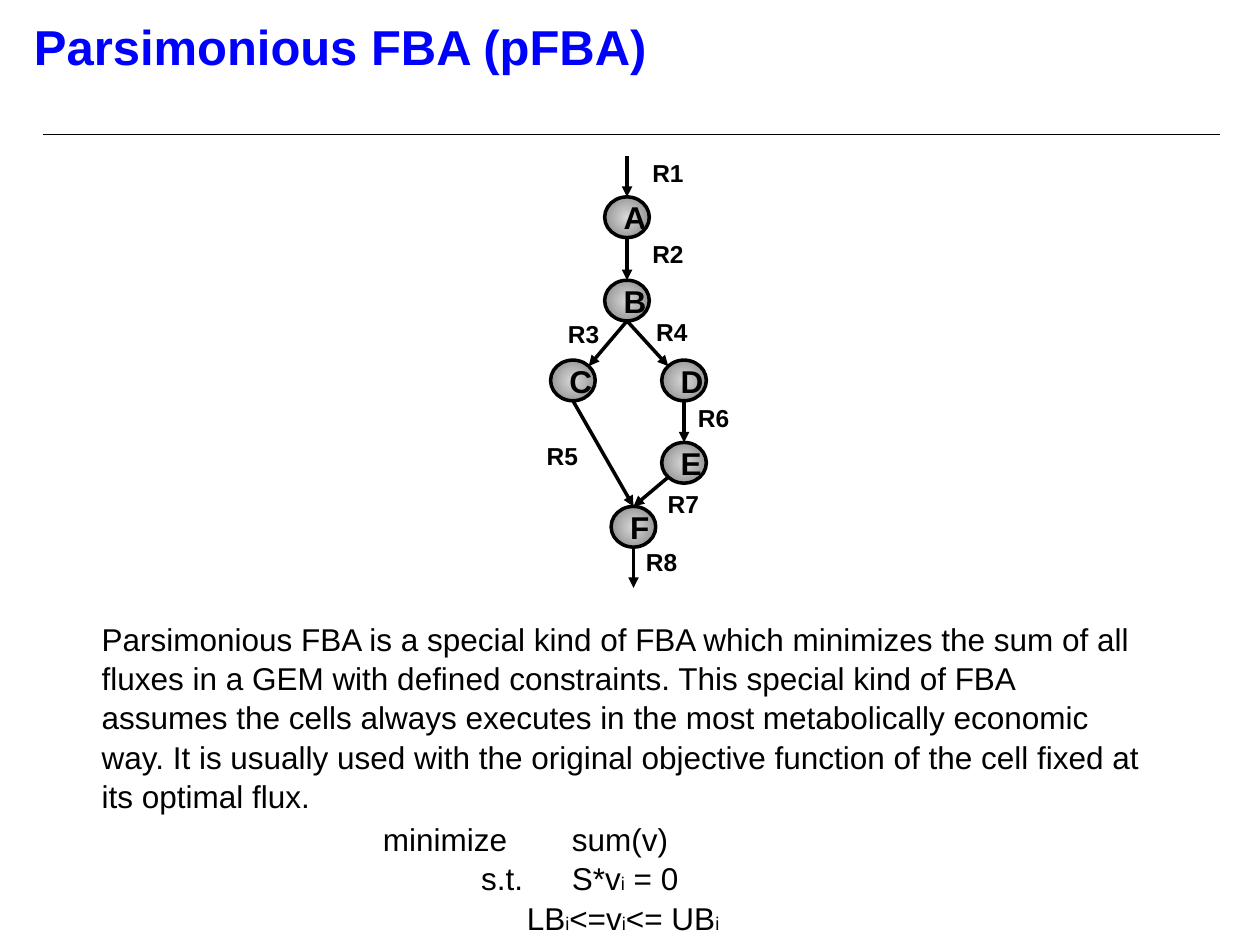
from math import sqrt

from lxml import etree
from pptx import Presentation
from pptx import util as u
from pptx.dml.color import RGBColor
from pptx.enum import shapes, text
from pptx.oxml import ns


class Theme:
    font = "Arial"
    black = RGBColor(0, 0, 0)
    title_blue = RGBColor(0, 0, 255)
    node_colors = (RGBColor(0xD9, 0xD9, 0xD9), RGBColor(0x80, 0x80, 0x80))
    title_size = 28
    body_size = 18
    index_size = 10.5
    label_size = 14


def style(run, size, bold=False, color=Theme.black):
    run.font.name = Theme.font
    run.font.size = u.Pt(size)
    run.font.bold = bold
    run.font.color.rgb = color


def add_line(slide, start, end, width):
    line = slide.shapes.add_connector(
        shapes.MSO_CONNECTOR.STRAIGHT, *(u.Cm(value) for value in start + end))
    line.line.color.rgb = Theme.black
    line.line.width = u.Pt(width)
    etree.SubElement(line._element.spPr, ns.qn("a:effectLst"))
    return line


presentation = Presentation()
presentation.slide_width = u.Cm(25.4)
presentation.slide_height = u.Cm(19.05)
slide = presentation.slides.add_slide(presentation.slide_layouts[5])

# Title and rule
title = slide.shapes.title
title.left, title.top, title.width, title.height = (
    u.Cm(0.43), u.Cm(0.2), u.Cm(21.82), u.Cm(2.26))
title.text_frame.text = "Parsimonious FBA (pFBA)"
title.text_frame.auto_size = text.MSO_AUTO_SIZE.NONE
title.text_frame.vertical_anchor = text.MSO_ANCHOR.TOP
title.text_frame.paragraphs[0].alignment = text.PP_ALIGN.LEFT
style(title.text_frame.paragraphs[0].runs[0], Theme.title_size, True, Theme.title_blue)
add_line(slide, (0.86, 2.71), (24.59, 2.71), 1)

# Text: box, then paragraphs of (tab stops in cm, runs); "i" alone is an index
text_blocks = [
    ((1.8, 12.34, 21.49, 4.11), [
        ([], ["Parsimonious FBA is a special kind of FBA which minimizes the sum "
              "of all fluxes in a GEM with defined constraints. This special kind "
              "of FBA assumes the cells always executes in the most metabolically "
              "economic way. It is usually used with the original objective "
              "function of the cell fixed at its optimal flux."]),
    ]),
    ((7.47, 16.38, 10.85, 2.57), [
        ([3.81], ["minimize\tsum(v)"]),
        ([1.98, 3.81], ["\ts.t.\tS*v", "i", " = 0"]),
        ([2.9], ["\tLB", "i", "<=v", "i", "<= UB", "i"]),
    ]),
]
for box, paragraphs in text_blocks:
    shape = slide.shapes.add_textbox(*(u.Cm(value) for value in box))
    frame = shape.text_frame
    frame.word_wrap = True
    frame.auto_size = text.MSO_AUTO_SIZE.SHAPE_TO_FIT_TEXT
    for number, (stops, parts) in enumerate(paragraphs):
        paragraph = frame.add_paragraph() if number else frame.paragraphs[0]
        paragraph.line_spacing = 1.04
        if stops:
            tab_list = etree.SubElement(paragraph._p.get_or_add_pPr(), ns.qn("a:tabLst"))
            for stop in stops:
                etree.SubElement(tab_list, ns.qn("a:tab"), pos=str(u.Cm(stop)), algn="l")
        for part in parts:
            run = paragraph.add_run()
            run.text = part
            style(run, Theme.index_size if part == "i" else Theme.body_size)

# Metabolites, by centre
node_width, node_height = 0.9, 0.82
nodes = {
    "A": (12.64, 4.38), "B": (12.64, 6.06), "C": (11.55, 7.67),
    "D": (13.79, 7.67), "E": (13.79, 9.33), "F": (12.77, 10.62),
}
for name, (x, y) in nodes.items():
    node = slide.shapes.add_shape(
        shapes.MSO_SHAPE.OVAL, u.Cm(x - node_width / 2), u.Cm(y - node_height / 2),
        u.Cm(node_width), u.Cm(node_height))
    node.shadow.inherit = False
    node.line.color.rgb = Theme.black
    node.line.width = u.Pt(2)
    node.fill.gradient()
    for stop, color, position in zip(node.fill.gradient_stops, Theme.node_colors, (0, 1)):
        stop.color.rgb = color
        stop.position = position
    gradient = node._element.spPr.find(ns.qn("a:gradFill"))
    gradient.remove(gradient.find(ns.qn("a:lin")))
    circle = etree.SubElement(gradient, ns.qn("a:path"), path="circle")
    etree.SubElement(circle, ns.qn("a:fillToRect"), l="50000", t="50000", r="50000", b="50000")
    node.text_frame.text = name
    node.text_frame.vertical_anchor = text.MSO_ANCHOR.MIDDLE
    node.text_frame.paragraphs[0].alignment = text.PP_ALIGN.CENTER
    style(node.text_frame.paragraphs[0].runs[0], Theme.body_size, True)

# Reactions: start node and side, end node and side, label position
diagonal = 1 / sqrt(2)
sides = {
    "top": (0, -1), "bottom": (0, 1), "above": (0, -3), "below": (0, 3),
    "top left": (-diagonal, -diagonal), "top right": (diagonal, -diagonal),
    "bottom left": (-diagonal, diagonal),
}
reactions = {
    "R1": ("A", "above", "A", "top", (12.9, 3.07)),
    "R2": ("A", "bottom", "B", "top", (12.9, 4.7)),
    "R3": ("B", "bottom", "C", "top right", (11.2, 6.3)),
    "R4": ("B", "bottom", "D", "top left", (12.98, 6.27)),
    "R5": ("C", "bottom", "F", "top", (10.77, 8.76)),
    "R6": ("D", "bottom", "E", "top", (13.82, 8)),
    "R7": ("E", "bottom left", "F", "top", (13.21, 9.73)),
    "R8": ("F", "bottom", "F", "below", (12.77, 10.9)),
}
for name, (source, source_side, target, target_side, position) in reactions.items():
    start, end = (
        (nodes[node][0] + sides[side][0] * node_width / 2,
         nodes[node][1] + sides[side][1] * node_height / 2)
        for node, side in ((source, source_side), (target, target_side)))
    arrow = add_line(slide, start, end, 2)
    etree.SubElement(arrow.line._get_or_add_ln(), ns.qn("a:tailEnd"), type="triangle")

    label = slide.shapes.add_textbox(
        *(u.Cm(value) for value in position), u.Cm(1.7), u.Cm(0.86))
    label.text_frame.word_wrap = True
    label.text_frame.auto_size = text.MSO_AUTO_SIZE.SHAPE_TO_FIT_TEXT
    label.text_frame.text = name
    style(label.text_frame.paragraphs[0].runs[0], Theme.label_size, True)

presentation.save("out.pptx")
